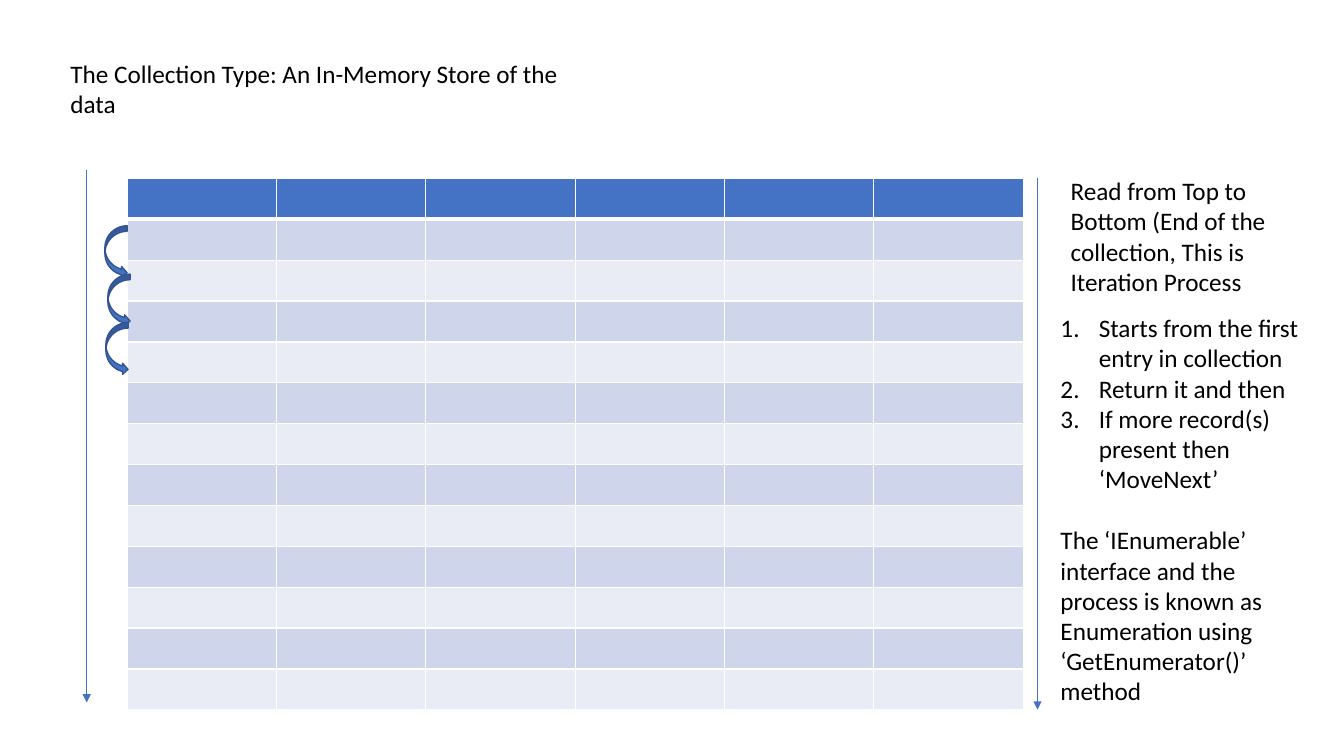
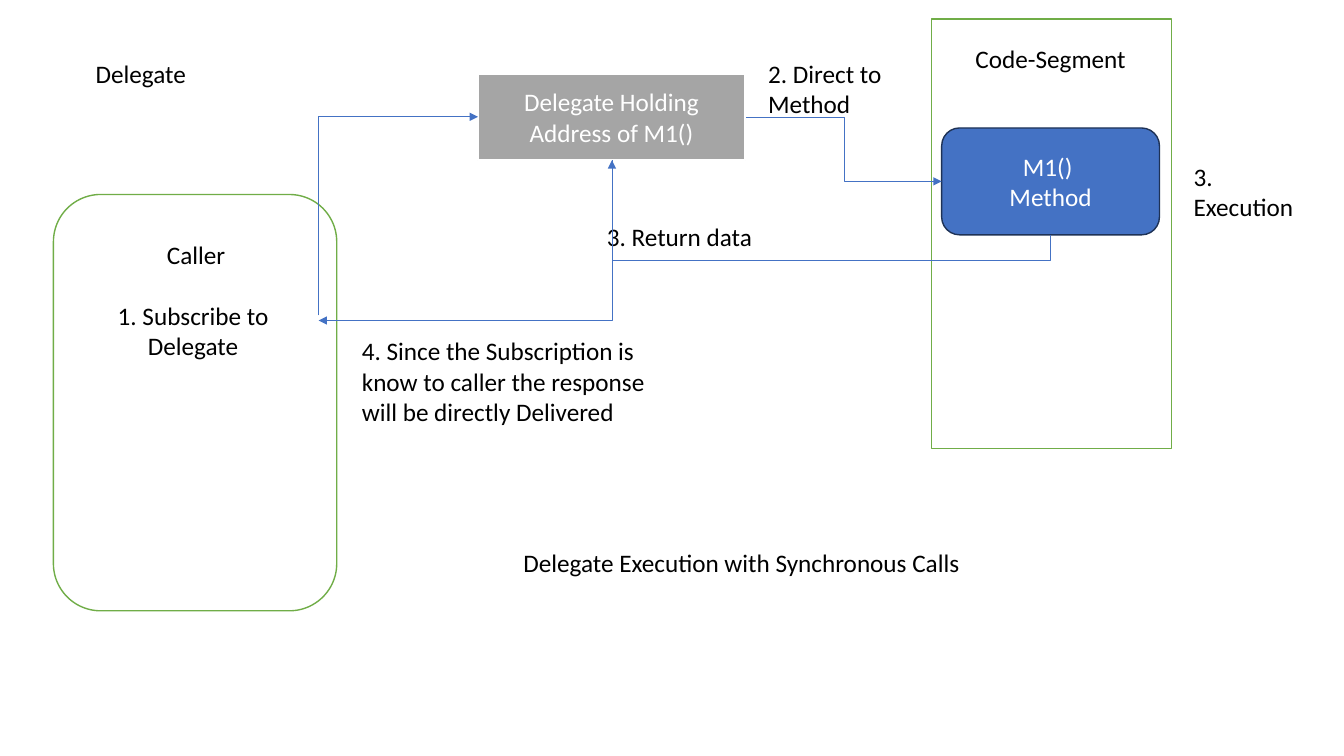
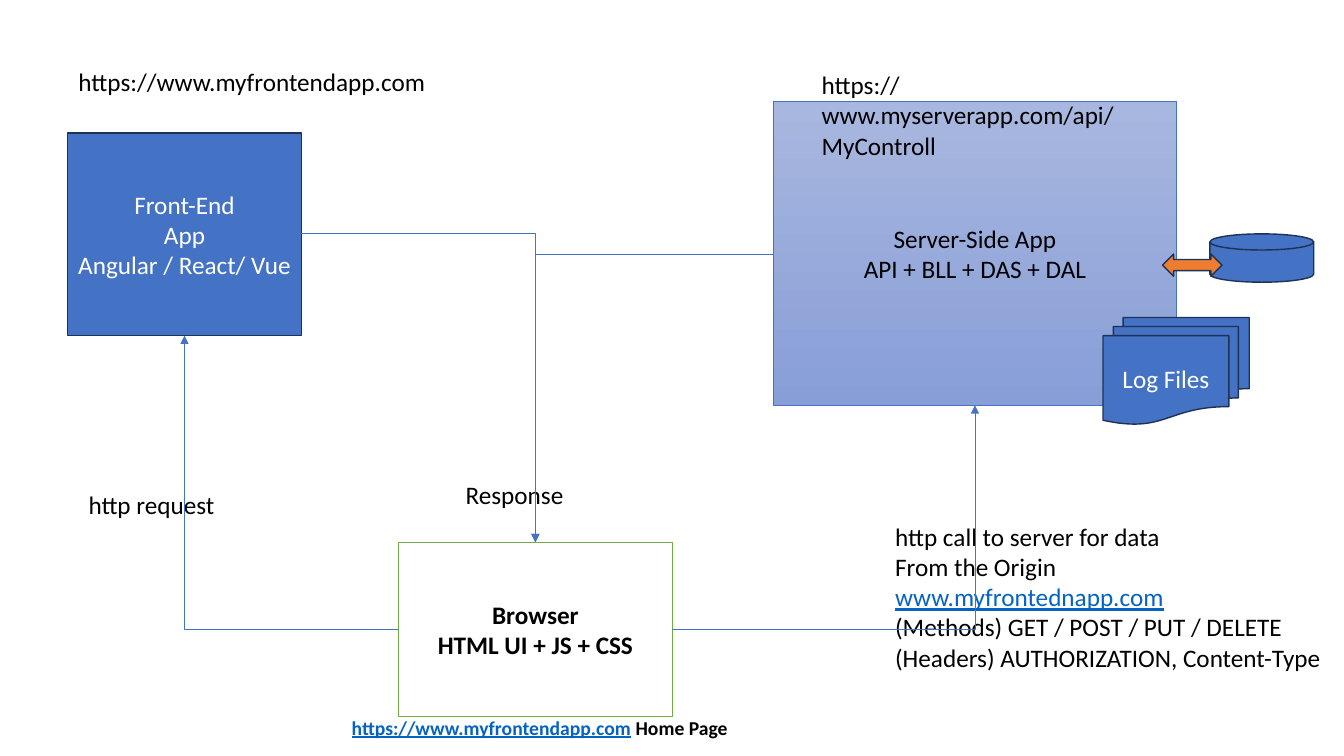
import pptx
import pptx.util
import pptx.dml.color
import pptx.enum.dml
import pptx.enum.shapes
import pptx.enum.text
import pptx.oxml
import pptx.oxml.ns

Inches, Pt = pptx.util.Inches, pptx.util.Pt
RGB = pptx.dml.color.RGBColor
SHAPE = pptx.enum.shapes.MSO_SHAPE
CONNECTOR = pptx.enum.shapes.MSO_CONNECTOR
ALIGN = pptx.enum.text.PP_ALIGN
ANCHOR = pptx.enum.text.MSO_ANCHOR
qn = pptx.oxml.ns.qn

FONT = "Calibri"
BLACK, WHITE = RGB(0, 0, 0), RGB(255, 255, 255)
BLUE, NAVY, ARROW_EDGE = RGB(0x44, 0x72, 0xC4), RGB(0x1E, 0x32, 0x56), RGB(0x32, 0x54, 0x91)
GREEN, GRAY, ORANGE = RGB(0x70, 0xAD, 0x47), RGB(0xA5, 0xA5, 0xA5), RGB(0xED, 0x7D, 0x31)
LINK = RGB(0x05, 0x63, 0xC1)
BANDS = RGB(0xCF, 0xD5, 0xEA), RGB(0xE9, 0xEB, 0xF5)
GRADIENT = RGB(0xA8, 0xB7, 0xDF), RGB(0x88, 0x9E, 0xD7)

# Box styles: fill, line colour, line width, text colour, bold
SOLID = (BLUE, NAVY, 1, WHITE, False)
OUTLINE = (WHITE, GREEN, 1, BLACK, True)
HOLDER = (GRAY, WHITE, 1.5, WHITE, False)
HOP = (BLUE, ARROW_EDGE, 1, WHITE, False)
EXCHANGE = (ORANGE, NAVY, 1, WHITE, False)
SERVER = (GRADIENT, BLUE, 0.5, BLACK, False)

# Boxes: preset, (left, top, width, height), style, paragraphs
# Labels: (left, top, width, height), paragraphs, options
# Elbows: start, end, options
COLLECTION = {
    "table": ((1.26, 1.77, 8.89, 5.27), 13, 6),
    "boxes": [(SHAPE.CURVED_RIGHT_ARROW, (x, 2.24 + 0.48 * i, 0.22, 0.52), HOP, [])
              for i, x in enumerate((1.04, 1.07, 1.05))],
    "arrows": [((10.29, 1.77), (10.29, 7.04)), ((0.86, 1.69), (0.86, 6.97))],
    "labels": [
        ((0.6, 0.53, 5.37, 0.71), ["The Collection Type: An In-Memory Store of the data"], {}),
        ((10.52, 1.69, 2.34, 1.31),
         ["Read from Top to Bottom (End of the collection, This is Iteration Process"], {}),
        ((10.42, 3.05, 2.56, 4.04),
         ["Starts from the first entry in collection",
          "Return it and then",
          "If more record(s) present then ‘MoveNext’",
          "The ‘IEnumerable’ interface and the process is known as Enumeration using "
          "‘GetEnumerator()’ method"], {"numbered": 3}),
    ],
}

DELEGATE = {
    "boxes": [
        (SHAPE.RECTANGLE, (9.24, 0.19, 2.38, 4.26), OUTLINE, []),
        (SHAPE.ROUNDED_RECTANGLE, (9.34, 1.27, 2.16, 1.06), SOLID, ["M1() ", "Method"]),
        (SHAPE.ROUNDED_RECTANGLE, (0.53, 1.93, 2.81, 4.13), OUTLINE, []),
        (SHAPE.RECTANGLE, (4.74, 0.73, 2.65, 0.86), HOLDER, ["Delegate Holding Address of M1()"]),
    ],
    "elbows": [
        ((3.16, 3.13), (4.74, 1.16), {"vertical_first": True}),
        ((7.4, 1.16), (9.34, 1.8), {"bends": 2}),
        ((10.42, 2.33), (6.07, 1.59), {"vertical_first": True, "bends": 2, "turn": -0.34}),
        ((6.07, 1.59), (3.16, 3.18), {"vertical_first": True}),
    ],
    "labels": [
        ((9.34, 0.38, 2.16, 0.4), ["Code-Segment"], {"align": ALIGN.CENTER}),
        ((0.85, 2.33, 2.19, 0.4), ["Caller"], {"align": ALIGN.CENTER}),
        ((0.67, 2.93, 2.49, 0.71), ["1. Subscribe to Delegate"], {"align": ALIGN.CENTER}),
        ((11.74, 1.55, 1.29, 0.71), ["3. Execution"], {}),
        ((5.92, 2.15, 3.99, 0.4), ["3. Return data"], {}),
        ((0.85, 0.53, 2.32, 0.4), ["Delegate"], {}),
        ((7.52, 0.53, 1.46, 0.71), ["2. Direct to Method"], {}),
        ((3.49, 3.28, 3.18, 1.01),
         ["4. Since the Subscription is know to caller the response will be directly Delivered"], {}),
        ((4.29, 5.38, 6.13, 0.4), ["Delegate Execution with Synchronous Calls"],
         {"align": ALIGN.CENTER}),
    ],
}

WEB_APP = {
    "boxes": [
        (SHAPE.RECTANGLE, (7.67, 1.01, 4, 3.01), SERVER, ["Server-Side App", "API + BLL + DAS + DAL"]),
        (SHAPE.RECTANGLE, (0.67, 1.32, 2.32, 2.01), SOLID,
         ["Front-End", "App", "Angular / React/ Vue"]),
        (SHAPE.RECTANGLE, (3.95, 5.38, 2.72, 1.73), OUTLINE, ["Browser", "HTML UI + JS + CSS"]),
        (SHAPE.FLOWCHART_MAGNETIC_DISK, (12, 2.32, 1.03, 0.48), SOLID, []),
        (SHAPE.LEFT_RIGHT_ARROW, (11.53, 2.52, 0.59, 0.22), EXCHANGE, []),
        (SHAPE.FLOWCHART_MULTIDOCUMENT, (10.94, 3.15, 1.45, 1.06), SOLID, ["Log Files"]),
    ],
    "elbows": [
        ((3.95, 6.24), (1.83, 3.33), {}),
        ((2.99, 2.32), (5.31, 5.38), {}),
        ((6.67, 6.24), (9.67, 4.02), {}),
        ((7.67, 2.52), (5.31, 5.38), {}),
    ],
    "labels": [
        ((0.68, 0.61, 3.84, 0.4), ["https://www.myfrontendapp.com"], {}),
        ((8.05, 0.64, 3.48, 0.71), ["https://www.myserverapp.com/api/MyControll"], {}),
        ((0.78, 4.81, 2.44, 0.4), ["http request"], {}),
        ((4.52, 4.71, 1.9, 0.4), ["Response"], {}),
        ((8.78, 5.12, 4.44, 1.92),
         ["http call to server for data",
          [("From the Origin ", False), ("www.myfrontednapp.com", True)],
          "(Methods) GET / POST / PUT / DELETE",
          "(Headers) AUTHORIZATION, Content-Type"], {}),
        ((3.39, 7.05, 4.9, 0.34),
         [[("https://www.myfrontendapp.com", True), (" Home Page", False)]],
         {"size": 14, "bold": True}),
    ],
}


def inches(values):
    return [Inches(v) for v in values]


def write(tf, paragraphs, color=BLACK, size=18, bold=False, align=ALIGN.LEFT, numbered=0):
    """Fill a frame; a paragraph is a string or a list of (text, is_link) runs."""
    tf.word_wrap = True
    for i, runs in enumerate(paragraphs):
        p = tf.paragraphs[0] if i == 0 else tf.add_paragraph()
        p.alignment = align
        if i < numbered:
            pPr = p._p.get_or_add_pPr()
            pPr.set("marL", str(Inches(0.38)))
            pPr.set("indent", str(-Inches(0.38)))
            number = pptx.oxml.ns.nsdecls("a")
            pPr.append(pptx.oxml.parse_xml(f'<a:buAutoNum {number} type="arabicPeriod"/>'))
        elif numbered and i == numbered:
            p.space_before = Pt(22)
        for text, is_link in [(runs, False)] if isinstance(runs, str) else runs:
            r = p.add_run()
            r.text = text
            r.font.name, r.font.size, r.font.bold = FONT, Pt(size), bold
            r.font.color.rgb = LINK if is_link else color
            r.font.underline = is_link


def add_box(slide, preset, at, style, paragraphs):
    fill, line, width, color, bold = style
    sp = slide.shapes.add_shape(preset, *inches(at))
    sp.shadow.inherit = False
    if fill is GRADIENT:
        sp.fill.gradient()
        sp.fill.gradient_angle = 270
        for position, (stop, rgb) in enumerate(zip(sp.fill.gradient_stops, fill)):
            stop.color.rgb, stop.position = rgb, position
    else:
        sp.fill.solid()
        sp.fill.fore_color.rgb = fill
    sp.line.color.rgb, sp.line.width = line, Pt(width)
    sp.text_frame.vertical_anchor = ANCHOR.MIDDLE
    write(sp.text_frame, paragraphs, color, bold=bold, align=ALIGN.CENTER)


def add_label(slide, at, paragraphs, options):
    write(slide.shapes.add_textbox(*inches(at)).text_frame, paragraphs, **options)


def add_arrow(slide, start, end, kind=CONNECTOR.STRAIGHT):
    c = slide.shapes.add_connector(kind, *inches(start + end))
    c.line.color.rgb, c.line.width = BLUE, Pt(0.5)
    spPr = c._element.spPr
    ln = spPr.find(qn("a:ln"))
    ln.append(ln.makeelement(qn("a:tailEnd"), {"type": "triangle"}))
    spPr.append(spPr.makeelement(qn("a:effectLst"), {}))
    return spPr


def add_elbow(slide, start, end, vertical_first=False, bends=1, turn=0.5):
    """Draw a bent arrow; one leaving vertically is a horizontal one turned 90 degrees."""
    if vertical_first:
        (x1, y1), (x2, y2) = start, end
        cx, cy, dx, dy = (x1 + x2) / 2, (y1 + y2) / 2, (x2 - x1) / 2, (y2 - y1) / 2
        start, end = (cx - dy, cy + dx), (cx + dy, cy - dx)
    spPr = add_arrow(slide, start, end, CONNECTOR.ELBOW)
    if vertical_first:
        spPr.find(qn("a:xfrm")).set("rot", "5400000")
    geom = spPr.find(qn("a:prstGeom"))
    geom.set("prst", f"bentConnector{bends + 1}")
    if bends == 2:
        av = geom.find(qn("a:avLst"))
        av.append(av.makeelement(qn("a:gd"), {"name": "adj1", "fmla": f"val {round(turn * 100000)}"}))


def add_grid(slide, at, rows, cols):
    """Add the empty banded table with white rules, heavier under the header."""
    table = slide.shapes.add_table(rows, cols, *inches(at)).table
    for i in range(rows):
        for j in range(cols):
            cell = table.cell(i, j)
            tcPr = cell._tc.get_or_add_tcPr()
            for side in "LRTB":
                heavy = (i, side) in ((0, "B"), (1, "T"))
                tcPr.append(pptx.oxml.parse_xml(
                    f'<a:ln{side} {pptx.oxml.ns.nsdecls("a")} w="{Pt(3 if heavy else 1)}">'
                    f'<a:solidFill><a:srgbClr val="{WHITE}"/></a:solidFill></a:ln{side}>'))
            cell.fill.solid()
            cell.fill.fore_color.rgb = BANDS[(i - 1) % 2] if i else BLUE


def main():
    prs = pptx.Presentation()
    prs.slide_width, prs.slide_height = Inches(13.33), Inches(7.5)
    for content in (COLLECTION, DELEGATE, WEB_APP):
        slide = prs.slides.add_slide(prs.slide_layouts[6])
        if "table" in content:
            add_grid(slide, *content["table"])
        for box in content["boxes"]:
            add_box(slide, *box)
        for label in content["labels"]:
            add_label(slide, *label)
        for start, end in content.get("arrows", []):
            add_arrow(slide, start, end)
        for start, end, options in content.get("elbows", []):
            add_elbow(slide, start, end, **options)
    prs.save("out.pptx")


if __name__ == "__main__":
    main()
